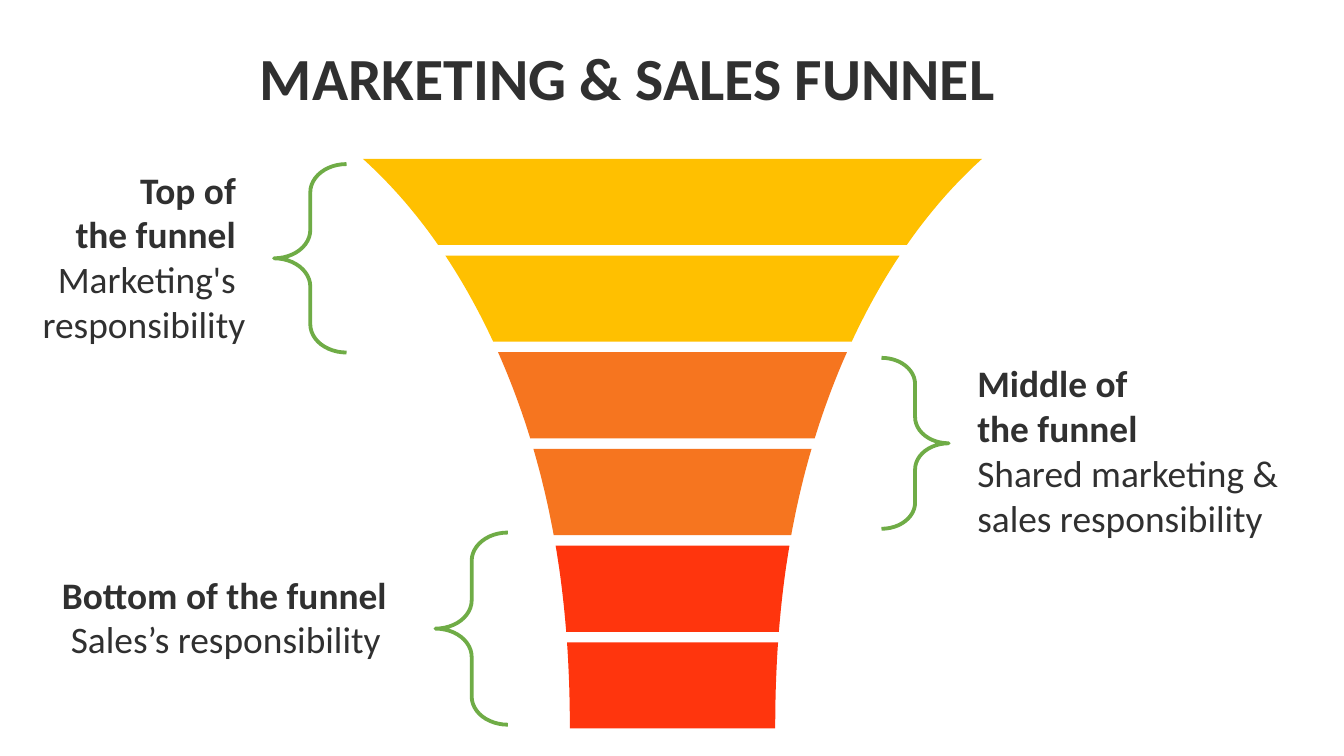
import pptx
import pptx.dml.color
import pptx.enum.shapes
import pptx.enum.text
import pptx.util

Cm = pptx.util.Cm
RGB = pptx.dml.color.RGBColor
SHAPE = pptx.enum.shapes.MSO_SHAPE
ALIGN = pptx.enum.text.PP_ALIGN

INK = RGB(0x30, 0x30, 0x30)
GREEN = RGB(0x6F, 0xAC, 0x46)
GOLD = RGB(0xFF, 0xC0, 0x00)
ORANGE = RGB(0xF6, 0x75, 0x1F)
RED = RGB(0xFF, 0x35, 0x0D)
BANDS = [GOLD, GOLD, ORANGE, ORANGE, RED, RED]


def place(shape, box):
    shape.left, shape.top, shape.width, shape.height = map(Cm, box)


def write(frame, text, size=20, bold=False, align=ALIGN.LEFT, left=0.03, right=0):
    """Add one paragraph, filling the first one if it is still empty."""
    para = frame.paragraphs[0] if not frame.text else frame.add_paragraph()
    props = para._p.get_or_add_pPr()
    props.set("marL", str(Cm(left)))
    props.set("marR", str(Cm(right)))
    para.alignment = align
    run = para.add_run()
    run.text = text
    font = run.font
    font.name, font.size, font.bold = "Calibri", pptx.util.Pt(size), bold
    font.color.rgb = INK


def setup(frame):
    frame.word_wrap = True
    frame.auto_size = pptx.enum.text.MSO_AUTO_SIZE.NONE
    frame.vertical_anchor = pptx.enum.text.MSO_ANCHOR.TOP
    frame.margin_left = frame.margin_right = frame.margin_bottom = 0
    frame.margin_top = Cm(0.03)


def head(slide, box, text):
    title = slide.shapes.title
    place(title, box)
    setup(title.text_frame)
    write(title.text_frame, text, size=32, bold=True)


def funnel(slide, box, gap=0.2, steps=12):
    left, top, width, height = box
    mid = left + width / 2
    pitch = (height + gap) / len(BANDS)

    def half(y):
        # Half width grows from the neck up to the rim
        t = (top + height - y) / height
        return 1.94 + t ** 2 * (2.16 + 1.42 * t + 0.33 * t ** 8)

    for i, color in enumerate(BANDS):
        start = top + i * pitch
        rows = [start + (pitch - gap) * k / steps for k in range(steps + 1)]
        edge = [(mid - half(y), y) for y in rows]
        edge += [(mid + half(y), y) for y in reversed(rows)]
        points = [(Cm(x), Cm(y)) for x, y in edge]
        build = slide.shapes.build_freeform(*points[0])
        build.add_line_segments(points[1:], close=True)
        band = build.convert_to_shape()
        band.shadow.inherit = False
        band.fill.solid()
        band.fill.fore_color.rgb = color
        band.line.fill.background()


def brace(slide, box, kind):
    shape = slide.shapes.add_shape(kind, *map(Cm, box))
    shape.shadow.inherit = False
    shape.adjustments[0] = 0.39
    shape.fill.background()
    shape.line.color.rgb = GREEN
    shape.line.width = pptx.util.Pt(2.04)


def label(slide, box, lines):
    frame = slide.shapes.add_textbox(*map(Cm, box)).text_frame
    setup(frame)
    for text, form in lines:
        write(frame, text, **form)


def main():
    deck = pptx.Presentation()
    deck.slide_width, deck.slide_height = Cm(25.4), Cm(14.28)
    slide = deck.slides.add_slide(deck.slide_layouts[5])

    head(slide, (4.88, 0.74, 15.65, 1.42), "MARKETING & SALES FUNNEL")
    funnel(slide, (6.86, 3, 11.7, 10.76))

    # Top stage
    flush = {"align": ALIGN.RIGHT, "right": 0.18}
    brace(slide, (5.18, 3.1, 1.37, 3.56), SHAPE.LEFT_BRACE)
    label(slide, (0.58, 3.12, 4.06, 3.45), [
        ("Top of", {"bold": True, **flush}),
        ("the funnel", {"bold": True, **flush}),
        ("Marketing's", flush),
        ("responsibility", {"align": ALIGN.RIGHT}),
    ])

    # Middle stage
    brace(slide, (16.66, 6.76, 1.27, 3.23), SHAPE.RIGHT_BRACE)
    label(slide, (18.44, 6.78, 6.12, 3.45), [
        ("Middle of", {"bold": True}),
        ("the funnel", {"bold": True}),
        ("Shared marketing &", {}),
        ("sales responsibility", {}),
    ])

    # Bottom stage
    brace(slide, (8.23, 10.06, 1.37, 3.63), SHAPE.LEFT_BRACE)
    label(slide, (1.14, 10.77, 6.55, 1.78), [
        ("Bottom of the funnel", {"bold": True}),
        ("Sales’s responsibility", {"left": 0.2}),
    ])

    deck.save("out.pptx")


if __name__ == "__main__":
    main()
